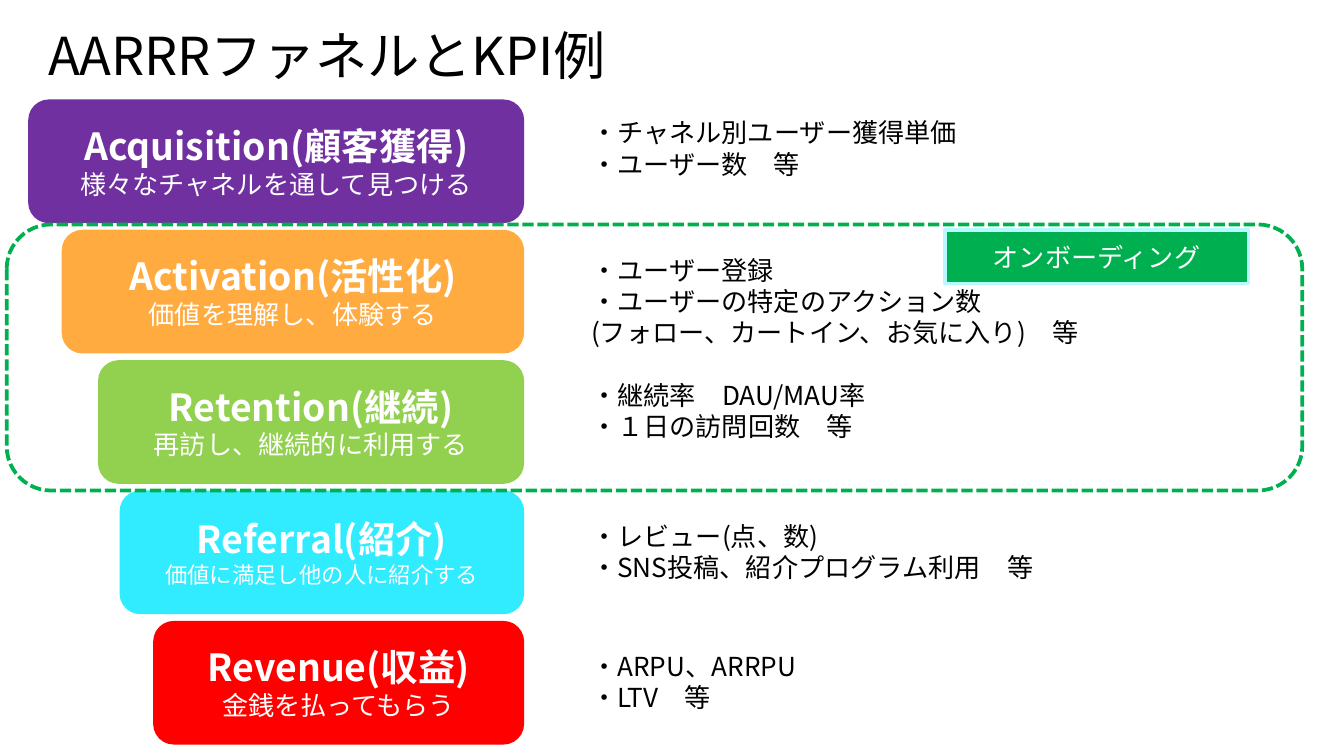
from lxml.etree import SubElement
from pptx import Presentation
from pptx.dml.color import RGBColor
from pptx.enum.dml import MSO_LINE_DASH_STYLE as DASH
from pptx.enum.shapes import MSO_SHAPE as SHAPE
from pptx.enum.text import MSO_ANCHOR as ANCHOR, MSO_AUTO_SIZE as AUTO_SIZE, PP_ALIGN as ALIGN
from pptx.oxml.ns import qn
from pptx.util import Inches, Pt

COLORS = {
    "text": "000000", "white": "FFFFFF", "acquisition": "7030A0",
    "activation": "FFAB40", "retention": "92D050", "referral": "31EBFF",
    "revenue": "FF0000", "onboarding": "00B050", "badge_edge": "BAF8FF",
}
JAPANESE = "Noto Sans CJK JP"
TITLE = {"size": Pt(28), "name": JAPANESE, "color": "text"}
KPI = {"size": Pt(14), "name": JAPANESE, "color": "text"}
STAGE = {"size": Pt(20), "name": JAPANESE, "color": "white", "bold": True}
SUMMARY = {"size": Pt(14), "name": JAPANESE, "color": "white", "bold": False}
SMALL_SUMMARY = SUMMARY | {"size": Pt(12)}
BADGE = {"size": Pt(14), "name": "Arial", "color": "white"}

STAGES = [
    ("acquisition", 0.21, "Acquisition(顧客獲得)", "様々なチャネルを通して見つける", SUMMARY),
    ("activation", 0.46, "Activation(活性化)", "価値を理解し、体験する", SUMMARY),
    ("retention", 0.73, "Retention(継続)", "再訪し、継続的に利用する", SUMMARY),
    ("referral", 0.89, "Referral(紹介)", "価値に満足し他の人に紹介する", SMALL_SUMMARY),
    ("revenue", 1.14, "Revenue(収益)", "金銭を払ってもらう", SUMMARY),
]
KPIS = [
    (0.08, 3.35, ["・チャネル別ユーザー獲得単価", "・ユーザー数　等"]),
    (0.13, 3.9, ["・ユーザー登録", "・ユーザーの特定のアクション数",
                 "(フォロー、カートイン、お気に入り)　等"]),
    (0.09, 3.9, ["・継続率　DAU/MAU率", "・１日の訪問回数　等"]),
    (0.17, 3.9, ["・レビュー(点、数)", "・SNS投稿、紹介プログラム利用　等"]),
    (0.17, 3.9, ["・ARPU、ARRPU", "・LTV　等"]),
]


def rgb(key):
    """Return the named colour."""
    return RGBColor.from_string(COLORS[key])


def write(frame, lines, align=ALIGN.LEFT):
    """Fill a text frame with one paragraph for each (text, format) pair."""
    for index, (text, style) in enumerate(lines):
        paragraph = frame.add_paragraph() if index else frame.paragraphs[0]
        paragraph.alignment = align
        run = paragraph.add_run()
        run.text = text
        for key, value in style.items():
            if key == "color":
                run.font.color.rgb = rgb(value)
            else:
                setattr(run.font, key, value)
        SubElement(run.font._element, qn("a:ea"), typeface=style["name"])


def add_block(slide, kind, box, fill=None, line=None, lines=()):
    """Add a preset shape with centred text."""
    block = slide.shapes.add_shape(kind, *map(Inches, box))
    block.shadow.inherit = False
    if fill:
        block.fill.solid()
        block.fill.fore_color.rgb = rgb(fill)
    else:
        block.fill.background()
    if line:
        block.line.color.rgb = rgb(line)
        block.line.width = Pt(2)
    else:
        block.line.fill.background()
    block.text_frame.vertical_anchor = ANCHOR.MIDDLE
    write(block.text_frame, lines, ALIGN.CENTER)
    return block


def add_title(slide, box, text):
    """Place and format the title placeholder."""
    title = slide.shapes.title
    title.left, title.top, title.width, title.height = map(Inches, box)
    frame = title.text_frame
    for side in ("left", "top", "right", "bottom"):
        setattr(frame, f"margin_{side}", Inches(0.1))
    frame.auto_size = AUTO_SIZE.NONE
    frame.vertical_anchor = ANCHOR.TOP
    write(frame, [(text, TITLE)])


def add_funnel(slide, top, right, pitch, height):
    """Stack the funnel stages against a common right edge."""
    for row, (color, left, name, summary, style) in enumerate(STAGES):
        box = (left, top + row * pitch, right - left, height)
        add_block(slide, SHAPE.ROUNDED_RECTANGLE, box, color,
                  lines=[(name, STAGE), (summary, style)])


def add_kpis(slide, left, top, pitch):
    """List the KPI examples beside each funnel stage."""
    for row, (offset, width, examples) in enumerate(KPIS):
        height = 0.1 + 0.24 * len(examples)
        box = (left, top + row * pitch + offset, width, height)
        frame = slide.shapes.add_textbox(*map(Inches, box)).text_frame
        frame.word_wrap = True
        frame.auto_size = AUTO_SIZE.SHAPE_TO_FIT_TEXT
        write(frame, [(example, KPI) for example in examples])


def add_onboarding(slide, left, top, width, height):
    """Frame the onboarding stages and label them."""
    outline = add_block(slide, SHAPE.ROUNDED_RECTANGLE,
                        (left, top, width, height), line="onboarding")
    outline.line.dash_style = DASH.SQUARE_DOT
    badge_box = (left + width - 2.66, top + 0.04, 2.26, 0.4)
    add_block(slide, SHAPE.RECTANGLE, badge_box, "onboarding", "badge_edge",
              [("オンボーディング", BADGE)])


def main():
    """Build the AARRR funnel slide."""
    deck = Presentation()
    deck.slide_width = Inches(10)
    deck.slide_height = deck.slide_width * 9 // 16
    slide = deck.slides.add_slide(deck.slide_layouts[5])
    top, pitch = 0.74, 0.97
    add_title(slide, (0.26, 0.07, 9.32, 0.63), "AARRRファネルとKPI例")
    add_funnel(slide, top, 3.9, pitch, 0.92)
    add_kpis(slide, 4.3, top, pitch)
    add_onboarding(slide, 0.05, 1.67, 9.64, 1.98)
    deck.save("out.pptx")


if __name__ == "__main__":
    main()
